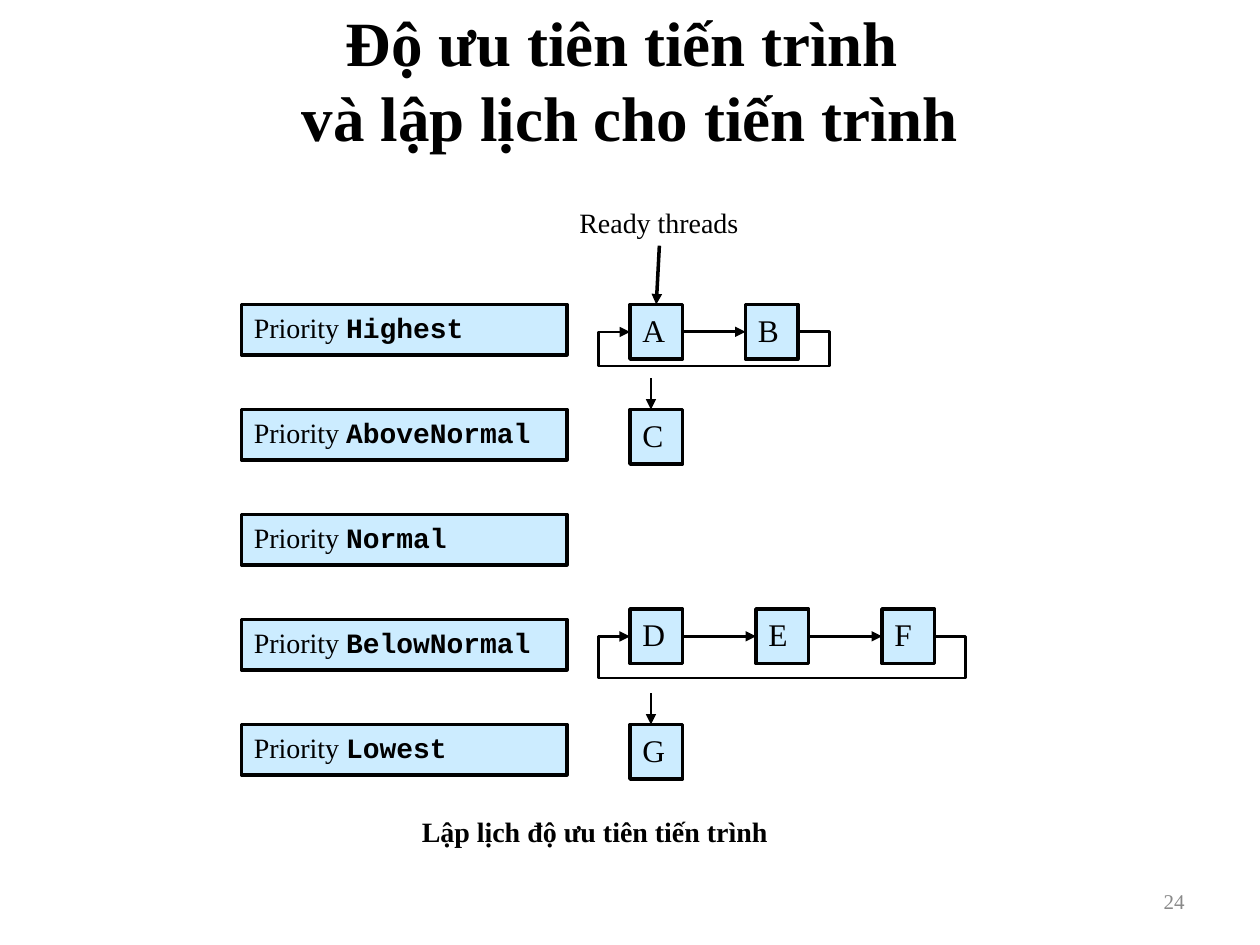
from dataclasses import dataclass

import pptx
import pptx.dml.color
import pptx.enum.shapes
import pptx.enum.text
import pptx.oxml
import pptx.oxml.ns
import pptx.util

Align = pptx.enum.text.PP_ALIGN
Anchor = pptx.enum.text.MSO_ANCHOR
AutoSize = pptx.enum.text.MSO_AUTO_SIZE
TOP, LEFT, BOTTOM, RIGHT = range(4)


@dataclass(frozen=True)
class Theme:
    serif: str = "Times New Roman"
    mono: str = "Courier New"
    ink: str = "000000"
    grey: str = "898989"
    box_fill: str = "CCECFF"
    title: int = 36
    thread: int = 18
    label: int = 16
    number: int = 12
    border: float = 2
    arrow: float = 1.5


@dataclass(frozen=True)
class Run:
    text: str
    size: int
    bold: bool = False
    font: str = Theme.serif
    color: str = Theme.ink


@dataclass(frozen=True)
class Queue:
    """A priority level and its ready threads, in grid cells."""
    priority: str
    threads: str = ""
    step: int = 0    # columns from one thread to the next
    rise: int = 0    # rows the threads sit above the label
    drop: float = 0  # rows from thread centre down to the return line


THEME = Theme()
QUEUES = [
    Queue("Highest", "AB", step=11, drop=3.6),
    Queue("AboveNormal", "C"),
    Queue("Normal"),
    Queue("BelowNormal", "DEF", step=12, rise=1, drop=4.4),
    Queue("Lowest", "G"),
]

# Grid of 120 columns by 90 rows, one twelfth of an inch each
FIRST_ROW, ROW_STEP = 29, 10
LABEL_COL, LABEL_W, LABEL_H = 23, 31, 4.8
THREAD_COL, THREAD_W, THREAD_H = 60, 5, 5.2
LOOP_GAP = 3
ENTRY_COL, ENTRY_LENGTH = 62, 3
LOOP_HEIGHT = 1588  # EMU; the loop's bends are measured against it


def cells(count: float) -> int:
    return pptx.util.Emu(round(count * pptx.util.Inches(1) / 12))


def apply(target, values: dict) -> None:
    for name, value in values.items():
        setattr(target, name, value)


def rgb(value: str):
    return pptx.dml.color.RGBColor.from_string(value)


def write(shape, runs: list[Run], align=Align.LEFT, **frame_format) -> None:
    frame = shape.text_frame
    apply(frame, {"word_wrap": True, **frame_format})
    paragraph = frame.paragraphs[0]
    paragraph.alignment = align
    for run in runs:
        # A paragraph's text may hold a line break, so split at it
        for index, line in enumerate(run.text.split("\n")):
            if index:
                paragraph.add_line_break()
            piece = paragraph.add_run()
            piece.text = line
            apply(piece.font, {"name": run.font, "size": pptx.util.Pt(run.size), "bold": run.bold})
            piece.font.color.rgb = rgb(run.color)


def add_text(slide, at: tuple, run: Run, **text_format):
    caption = slide.shapes.add_textbox(*map(cells, at))
    write(caption, [run], **text_format)
    return caption


def add_box(slide, at: tuple, runs: list[Run]):
    box = slide.shapes.add_shape(pptx.enum.shapes.MSO_SHAPE.RECTANGLE, *map(cells, at))
    box.shadow.inherit = False
    box.fill.solid()
    box.fill.fore_color.rgb = rgb(THEME.box_fill)
    box.line.color.rgb = rgb(THEME.ink)
    box.line.width = pptx.util.Pt(THEME.border)
    write(box, runs, vertical_anchor=Anchor.TOP, auto_size=AutoSize.SHAPE_TO_FIT_TEXT)
    return box


def add_arrow(slide, start: tuple = (0, 0), end: tuple = (0, 0), width: float = THEME.arrow):
    arrow = slide.shapes.add_connector(
        pptx.enum.shapes.MSO_CONNECTOR.STRAIGHT, *map(cells, start + end))
    arrow.line.color.rgb = rgb(THEME.ink)
    arrow.line.width = pptx.util.Pt(width)
    properties = arrow._element.spPr
    head = pptx.oxml.parse_xml(
        f'<a:tailEnd {pptx.oxml.ns.nsdecls("a")} type="triangle"/>')
    properties.get_or_add_ln().append(head)
    properties.append(pptx.oxml.parse_xml(f'<a:effectLst {pptx.oxml.ns.nsdecls("a")}/>'))
    return arrow


def join(slide, source, source_side: int, target, target_side: int, width: float = THEME.arrow):
    arrow = add_arrow(slide, width=width)
    arrow.begin_connect(source, source_side)
    arrow.end_connect(target, target_side)


def add_loop(slide, right: float, row: float, drop: float) -> None:
    """Return line from the last thread, under the queue, to the first."""
    loop = add_arrow(slide, (right, row), (THREAD_COL, row))
    loop.height = pptx.util.Emu(LOOP_HEIGHT)
    overshoot = LOOP_GAP / (right - THREAD_COL)
    bends = (-overshoot, cells(drop) / LOOP_HEIGHT, 1 + overshoot)
    guides = "".join(f'<a:gd name="adj{i}" fmla="val {round(bend * 100000)}"/>'
                     for i, bend in enumerate(bends, 1))
    geometry = pptx.oxml.parse_xml(
        f'<a:prstGeom {pptx.oxml.ns.nsdecls("a")} prst="bentConnector5">'
        f'<a:avLst>{guides}</a:avLst></a:prstGeom>')
    properties = loop._element.spPr
    properties.replace(properties.find(pptx.oxml.ns.qn("a:prstGeom")), geometry)


def add_queue(slide, queue: Queue, row: int) -> list:
    add_box(slide, (LABEL_COL, row, LABEL_W, LABEL_H),
            [Run("Priority ", THEME.label),
             Run(queue.priority, THEME.label, bold=True, font=THEME.mono)])
    top = row - queue.rise
    threads = [add_box(slide, (THREAD_COL + i * queue.step, top, THREAD_W, THREAD_H),
                       [Run(name, THEME.thread)])
               for i, name in enumerate(queue.threads)]
    for source, target in zip(threads, threads[1:]):
        join(slide, source, RIGHT, target, LEFT)
    if len(threads) > 1:
        right = THREAD_COL + (len(threads) - 1) * queue.step + THREAD_W
        add_loop(slide, right, top + THREAD_H / 2, queue.drop)
    elif threads:
        add_arrow(slide, (ENTRY_COL, row - ENTRY_LENGTH), (ENTRY_COL, row))
    return threads


def main() -> None:
    deck = pptx.Presentation()
    deck.slide_width, deck.slide_height = cells(120), cells(90)
    slide = deck.slides.add_slide(deck.slide_layouts.get_by_name("Title Only"))

    # Title
    heading = slide.shapes.title
    apply(heading, {"left": cells(6), "top": 0, "width": cells(108), "height": cells(15)})
    write(heading, [Run("Độ ưu tiên tiến trình \nvà lập lịch cho tiến trình", THEME.title, bold=True)],
          align=Align.CENTER, vertical_anchor=Anchor.MIDDLE, auto_size=AutoSize.NONE)

    # Slide number and caption
    add_text(slide, (86, 83.4, 28, 4.8), Run("24", THEME.number, color=THEME.grey),
             align=Align.RIGHT, vertical_anchor=Anchor.MIDDLE)
    add_text(slide, (39, 77, 48, 4.4), Run("Lập lịch độ ưu tiên tiến trình", THEME.label, bold=True),
             auto_size=AutoSize.SHAPE_TO_FIT_TEXT)

    # Priority levels with their thread queues
    queues = [add_queue(slide, queue, FIRST_ROW + i * ROW_STEP) for i, queue in enumerate(QUEUES)]

    # Pointer to the first ready thread
    ready = add_text(slide, (54, 19, 17.6, 4.4), Run("Ready threads", THEME.label),
                     word_wrap=False, auto_size=AutoSize.SHAPE_TO_FIT_TEXT)
    join(slide, ready, BOTTOM, queues[0][0], TOP, THEME.border)

    deck.save("out.pptx")


if __name__ == "__main__":
    main()
